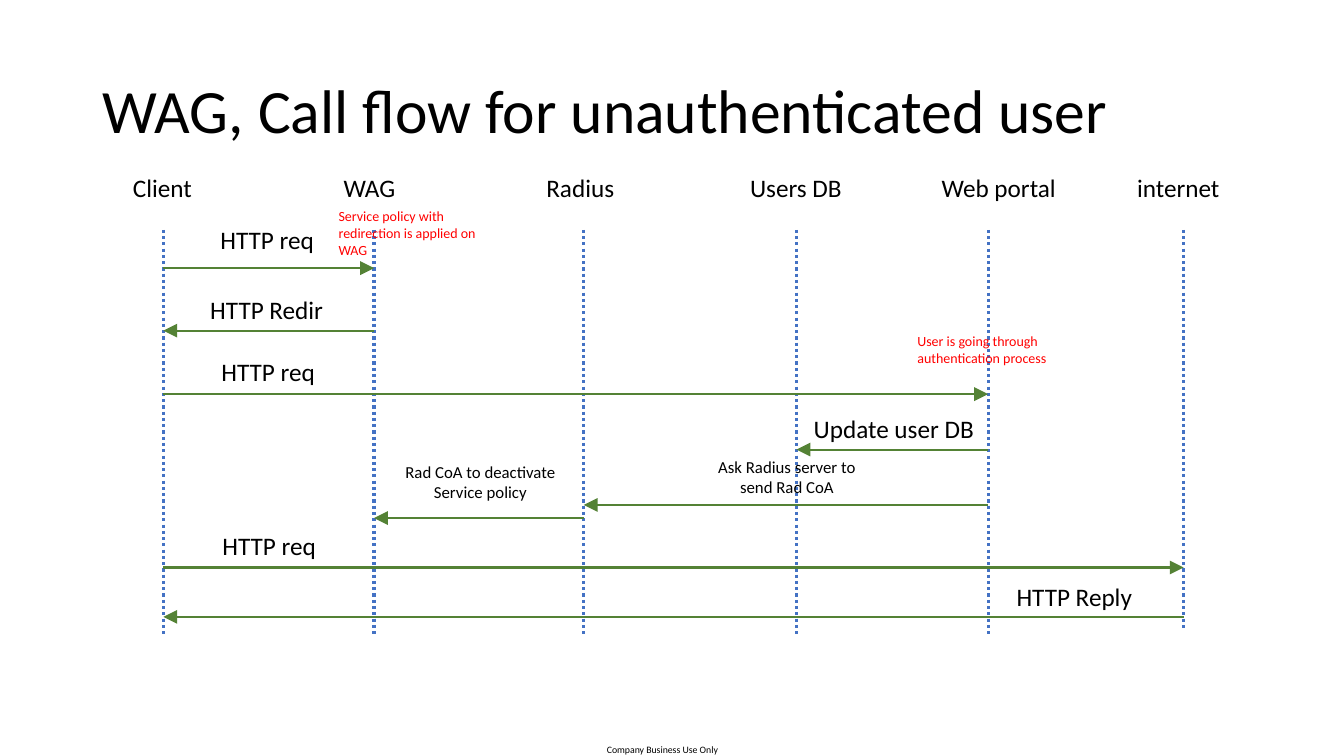
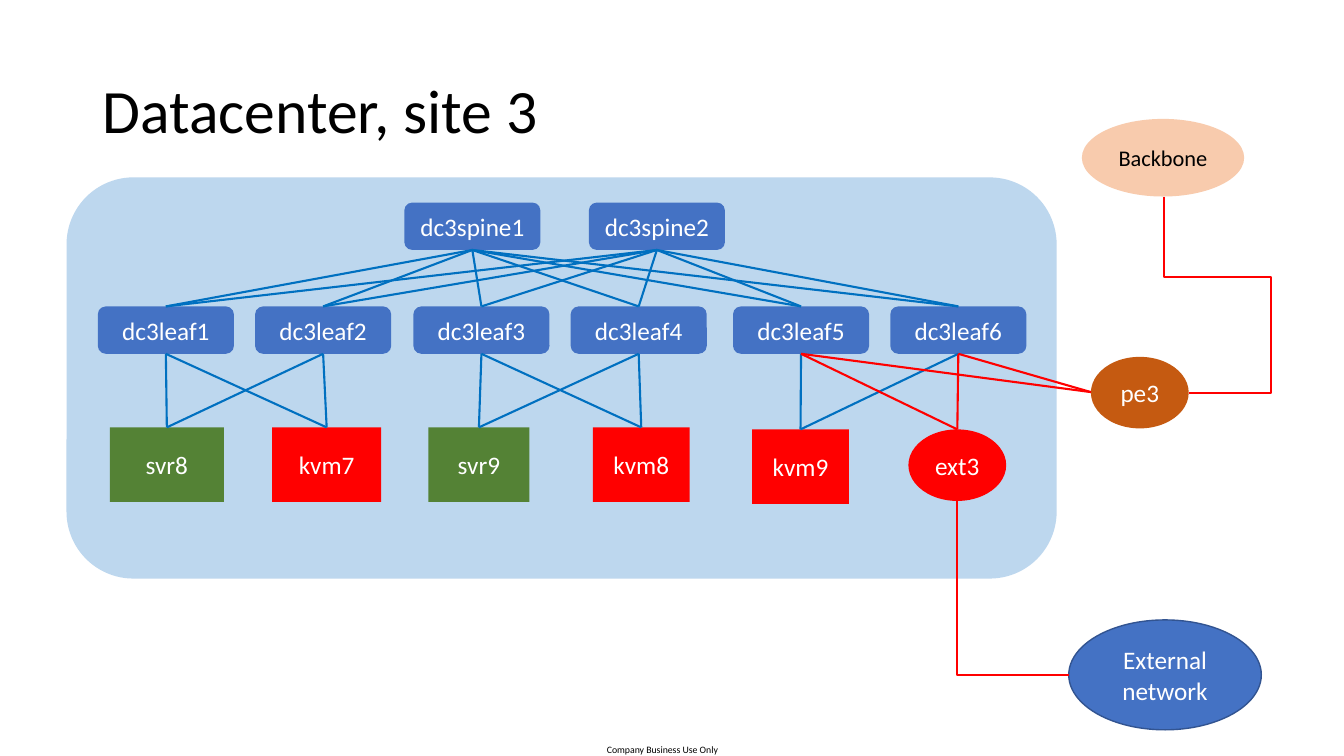
from itertools import product

from lxml.etree import SubElement
from pptx import Presentation
from pptx.dml.color import RGBColor
from pptx.enum.dml import MSO_LINE
from pptx.enum.shapes import MSO_CONNECTOR, MSO_SHAPE
from pptx.enum.text import MSO_ANCHOR, MSO_AUTO_SIZE, PP_ALIGN
from pptx.oxml.ns import qn
from pptx.util import Pt

EMU_PER_PX = 9144
FONT = "Calibri"
BLACK, WHITE, RED = "000000", "FFFFFF", "FF0000"
BLUE, LINK_BLUE, GREEN = "4472C4", "0070C0", "548235"
PALE_BLUE, PEACH, BROWN, NAVY = "BDD7EE", "F8CBAD", "C55A11", "325491"
TOP, BOTTOM = 0, 2


def px(*lengths):
    return [length * EMU_PER_PX for length in lengths]


def color(value):
    return RGBColor.from_string(value)


def write(shape, text, size=18, text_color=BLACK, align=PP_ALIGN.LEFT,
          anchor=MSO_ANCHOR.TOP, wrap=True, spacing=None):
    frame = shape.text_frame
    frame.word_wrap = wrap
    frame.vertical_anchor = anchor
    paragraph = frame.paragraphs[0]
    paragraph.text = text
    paragraph.alignment = align
    paragraph.line_spacing = spacing
    paragraph.font.name = FONT
    paragraph.font.size = Pt(size)
    paragraph.font.color.rgb = color(text_color)
    return frame


def add_text(slide, text, box, **text_format):
    frame = write(slide.shapes.add_textbox(*px(*box)), text, **text_format)
    frame.auto_size = MSO_AUTO_SIZE.SHAPE_TO_FIT_TEXT
    return frame


def add_node(slide, kind, box, fill, text="", outline=None, **text_format):
    shape = slide.shapes.add_shape(kind, *px(*box))
    shape.shadow.inherit = False
    shape.fill.solid()
    shape.fill.fore_color.rgb = color(fill)
    if outline:
        shape.line.color.rgb = color(outline)
        shape.line.width = Pt(1)
    else:
        shape.line.fill.background()
    if text:
        text_format = {"text_color": WHITE, **text_format}
        write(shape, text, align=PP_ALIGN.CENTER, anchor=MSO_ANCHOR.MIDDLE,
              **text_format)
    return shape


def add_line(slide, begin, end, line_color, width=1.5, dash=None, arrow=False,
             kind=MSO_CONNECTOR.STRAIGHT):
    connector = slide.shapes.add_connector(kind, *px(*begin, *end))
    connector.line.color.rgb = color(line_color)
    connector.line.width = Pt(width)
    if dash:
        connector.line.dash_style = dash
    properties = connector._element.spPr
    if arrow:
        SubElement(properties.find(qn("a:ln")), qn("a:tailEnd"),
                   type="triangle", w="lg", len="lg")
    SubElement(properties, qn("a:effectLst"))
    return connector


def add_elbow(slide, box, preset, adjustments=()):
    left, top, width, height = box
    connector = add_line(slide, (left, top), (left + width, top + height), RED,
                         kind=MSO_CONNECTOR.ELBOW)
    properties = connector._element.spPr
    frame = properties.find(qn("a:xfrm"))
    frame.set("rot", str(270 * 60000))
    frame.set("flipH", "1")
    geometry = properties.find(qn("a:prstGeom"))
    geometry.set("prst", preset)
    for number, value in enumerate(adjustments, 1):
        SubElement(geometry.find(qn("a:avLst")), qn("a:gd"),
                   name=f"adj{number}", fmla=f"val {value}")


def link(slide, upper, lower, line_color=LINK_BLUE):
    connector = add_line(slide, (0, 0), (0, 0), line_color)
    connector.begin_connect(upper, BOTTOM)
    connector.end_connect(lower, TOP)


def add_slide(presentation, title):
    slide = presentation.slides.add_slide(presentation.slide_layouts[6])
    footer = add_text(slide, "Company Business Use Only", (557, 738, 200, 12),
                      size=7, align=PP_ALIGN.CENTER)
    footer.margin_left = footer.margin_right = 0
    footer.margin_top = footer.margin_bottom = 0
    heading = slide.shapes.add_textbox(*px(92, 40, 1150, 145))
    write(heading, title, size=44, anchor=MSO_ANCHOR.MIDDLE, spacing=0.9)
    return slide


def build_call_flow(presentation):
    slide = add_slide(presentation, "WAG, Call flow for unauthenticated user")
    participants = [
        ("Client", 162, 122, 79, 630),
        ("WAG", 371, 331, 72, 630),
        ("Radius", 579, 532, 88, 630),
        ("Users DB", 790, 734, 112, 630),
        ("Web portal", 980, 924, 135, 630),
        ("internet", 1174, 1118, 103, 624),
    ]
    lifelines = {}
    for name, x, left, width, bottom in participants:
        lifelines[name] = x
        add_line(slide, (x, 228), (x, bottom), BLUE, width=2.25,
                 dash=MSO_LINE.ROUND_DOT)
        add_text(slide, name, (left, 166, width, 40), wrap=False)

    messages = [
        ("Client", "WAG", 266, "HTTP req", (208, 218, 114, 40), 18),
        ("WAG", "Client", 328, "HTTP Redir", (184, 287, 161, 40), 18),
        ("Client", "Web portal", 391, "HTTP req", (209, 349, 114, 40), 18),
        ("Web portal", "Users DB", 446, "Update user DB", (793, 405, 187, 40), 18),
        ("Web portal", "Radius", 501, "Ask Radius server to send Rad CoA",
         (700, 448, 161, 50), 12),
        ("Radius", "WAG", 514, "Rad CoA to deactivate Service policy",
         (391, 453, 171, 50), 12),
        ("Client", "internet", 563, "HTTP req", (210, 521, 114, 40), 18),
        ("internet", "Client", 612, "HTTP Reply", (985, 572, 161, 40), 18),
    ]
    for sender, receiver, y, text, box, size in messages:
        add_line(slide, (lifelines[sender], y), (lifelines[receiver], y), GREEN,
                 arrow=True)
        add_text(slide, text, box, size=size, align=PP_ALIGN.CENTER)

    notes = [
        ("Service policy with redirection is applied on WAG", (326, 201, 159, 61)),
        ("User is going through authentication process", (900, 325, 159, 44)),
    ]
    for text, box in notes:
        add_text(slide, text, box, size=10, text_color=RED)


def build_datacenter(presentation):
    slide = add_slide(presentation, "Datacenter, site 3")
    add_node(slide, MSO_SHAPE.ROUNDED_RECTANGLE, (66, 176, 982, 398), PALE_BLUE)

    def add_switches(prefix, lefts, top):
        return [add_node(slide, MSO_SHAPE.ROUNDED_RECTANGLE,
                         (left, top, 135, 47), BLUE, f"{prefix}{number}")
                for number, left in enumerate(lefts, 1)]

    spines = add_switches("dc3spine", (401, 584), 201)
    leaves = add_switches("dc3leaf", (97, 253, 410, 566, 727, 883), 304)
    hosts = [add_node(slide, MSO_SHAPE.RECTANGLE, (left, top, width, 74), fill, name)
             for name, left, top, width, fill in [
                 ("svr8", 109, 424, 113, GREEN),
                 ("kvm7", 270, 424, 108, RED),
                 ("svr9", 425, 424, 100, GREEN),
                 ("kvm8", 588, 424, 96, RED),
                 ("kvm9", 746, 426, 96, RED),
             ]]
    gateway = add_node(slide, MSO_SHAPE.OVAL, (901, 426, 97, 71), RED, "ext3")
    add_node(slide, MSO_SHAPE.OVAL, (1082, 354, 97, 71), BROWN, "pe3")
    add_node(slide, MSO_SHAPE.OVAL, (1073, 118, 161, 77), PEACH, "Backbone",
             size=16, text_color=BLACK)
    add_node(slide, MSO_SHAPE.OVAL, (1060, 615, 191, 109), BLUE,
             "External network", outline=NAVY)

    pairs = [*product(spines, leaves), *product(leaves[:2], hosts[:2]),
             *product(leaves[2:4], hosts[2:4]), *product(leaves[4:], hosts[4:])]
    for upper, lower in pairs:
        link(slide, upper, lower)
    for leaf in leaves[4:]:
        link(slide, leaf, gateway, RED)
        uplink = add_line(slide, (0, 0), (1082, 389), RED)
        uplink.begin_connect(leaf, BOTTOM)
    add_elbow(slide, (1069, 280, 195, 25), "bentConnector4", (40900, 424500))
    add_elbow(slide, (919, 528, 172, 111), "bentConnector2")


def main():
    presentation = Presentation()
    presentation.slide_width, presentation.slide_height = px(1333, 750)
    build_call_flow(presentation)
    build_datacenter(presentation)
    presentation.save("out.pptx")


if __name__ == "__main__":
    main()
